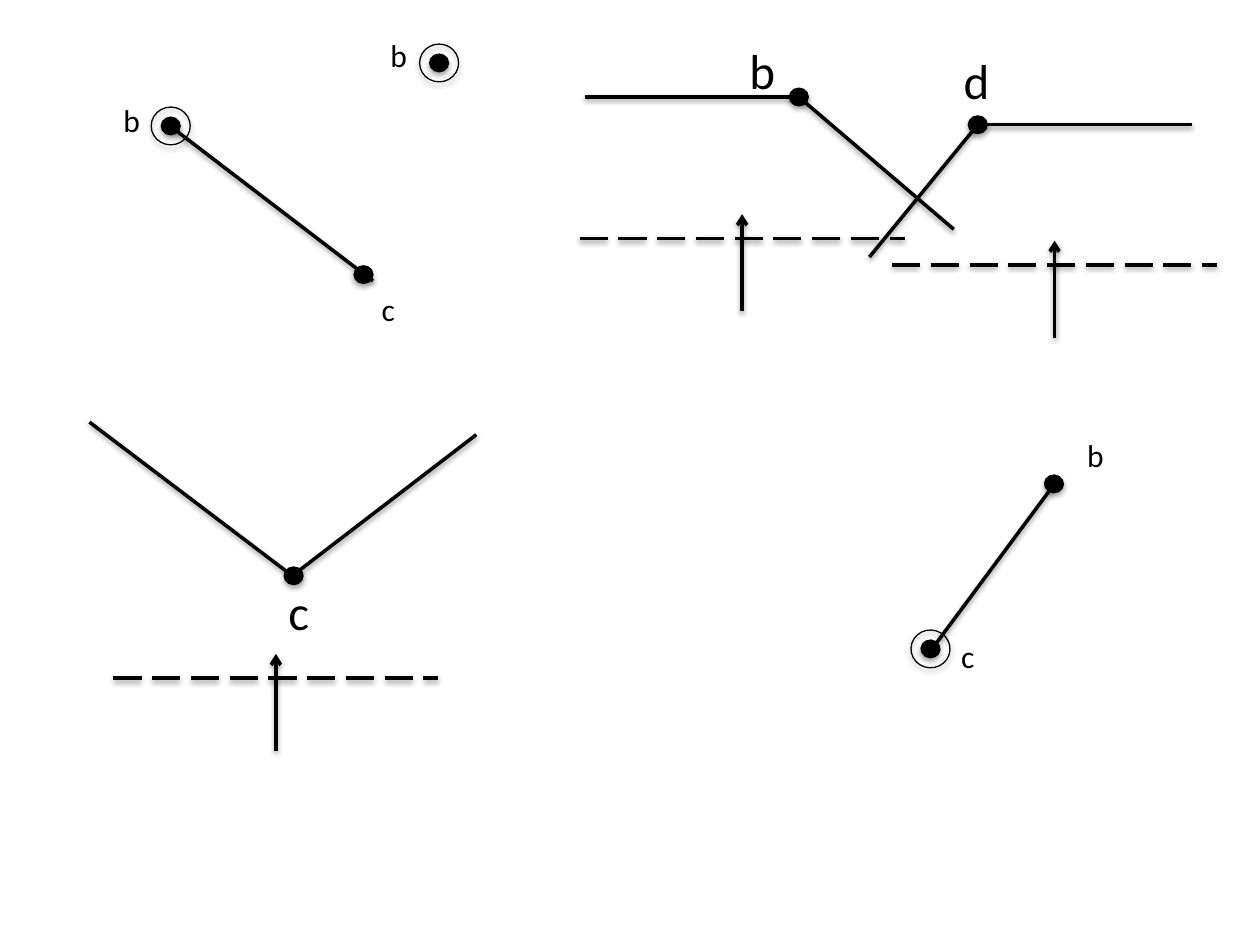
from dataclasses import dataclass
from lxml.etree import SubElement
from pptx import Presentation
from pptx.dml.color import RGBColor
from pptx.enum.dml import MSO_LINE
from pptx.enum.shapes import MSO_CONNECTOR, MSO_SHAPE
from pptx.enum.text import MSO_AUTO_SIZE
from pptx.oxml.ns import qn
from pptx.util import Inches, Pt

COLUMNS, ROWS = 100, 75
CELL = Inches(10) / COLUMNS


@dataclass(frozen=True)
class Theme:
    ink: str = "000000"
    font: str = "Calibri"
    small: int = 18
    large: int = 28
    stroke: float = 2
    outline: float = 0.75


@dataclass
class Box:
    shapes: object
    left: float
    top: float
    width: float
    height: float

    def at(self, column, row):
        return round((self.left + column) * CELL), round((self.top + row) * CELL)

    def inner(self, column, row, width, height):
        return Box(self.shapes, self.left + column, self.top + row, width, height)


THEME = Theme()
INK = RGBColor.from_string(THEME.ink)
LABEL_SIZES = {THEME.small: (3.2, 4), THEME.large: (4, 5.7)}


def cast_shadow(part, distance, opacity):
    effects = SubElement(part._element.spPr, qn("a:effectLst"))
    shadow = SubElement(effects, qn("a:outerShdw"), blurRad=str(Pt(3.1)),
                        dist=str(Pt(distance)), dir="5400000", rotWithShape="0")
    color = SubElement(shadow, qn("a:srgbClr"), val=THEME.ink)
    SubElement(color, qn("a:alpha"), val=str(opacity * 1000))


def add_stroke(box, start, end, dashed=False, arrow=False):
    stroke = box.shapes.add_connector(MSO_CONNECTOR.STRAIGHT, *box.at(*start), *box.at(*end))
    stroke.line.color.rgb = INK
    stroke.line.width = Pt(THEME.stroke)
    if dashed:
        stroke.line.dash_style = MSO_LINE.LONG_DASH
    if arrow:
        SubElement(stroke.line._get_or_add_ln(), qn("a:tailEnd"), type="arrow")
    cast_shadow(stroke, 1.6, 38)


def add_ellipse(box, center, width, height, filled, rotation):
    column, row = center
    ellipse = box.shapes.add_shape(
        MSO_SHAPE.OVAL, *box.at(column - width / 2, row - height / 2),
        round(width * CELL), round(height * CELL))
    if filled:
        ellipse.fill.solid()
        ellipse.fill.fore_color.rgb = INK
    else:
        ellipse.fill.background()
    ellipse.line.color.rgb = INK
    ellipse.line.width = Pt(THEME.outline)
    ellipse.rotation = rotation
    cast_shadow(ellipse, 1.8, 35)


def add_vertex(box, center, ringed=False, rotation=0):
    add_ellipse(box, center, 1.5, 1.4, True, rotation)
    if ringed:
        add_ellipse(box, center, 3.1, 3, False, rotation)


def add_label(box, corner, name, size):
    width, height = LABEL_SIZES[size]
    label = box.shapes.add_textbox(*box.at(*corner), round(width * CELL), round(height * CELL))
    frame = label.text_frame
    frame.word_wrap = False
    frame.auto_size = MSO_AUTO_SIZE.SHAPE_TO_FIT_TEXT
    run = frame.paragraphs[0].add_run()
    run.text = name
    run.font.name = THEME.font
    run.font.size = Pt(size)
    run.font.color.rgb = INK


def draw_sweep(box):
    level, middle = box.height / 4, box.width / 2
    add_stroke(box, (0, level), (box.width, level), dashed=True)
    add_stroke(box, (middle, box.height), (middle, 0), arrow=True)


def draw_point(box):
    add_label(box, (0, 0), "b", THEME.small)
    add_vertex(box, (4.85, 2.6), ringed=True)


def draw_falling_segment(box):
    add_stroke(box, (4.7, 2.5), (20.8, 14.8))
    add_label(box, (0, 0), "b", THEME.small)
    add_vertex(box, (4.75, 2.5), ringed=True)
    add_vertex(box, (20.05, 14.3))
    add_label(box, (20.5, 15), "c", THEME.small)


def draw_rising_segment(box):
    add_stroke(box, (1.6, 17.5), (11.4, 4.3))
    add_label(box, (3, 16), "c", THEME.small)
    add_vertex(box, (1.55, 17.4), ringed=True, rotation=183.3)
    add_vertex(box, (11.35, 4.3), rotation=183.3)
    add_label(box, (13, 0), "b", THEME.small)


def draw_valley(box):
    bottom = (16.1, 12.2)
    add_stroke(box, (0, 0), bottom)
    add_vertex(box, (16.2, 12.2))
    add_label(box, (14.8, 12.2), "c", THEME.large)
    add_stroke(box, bottom, (box.width, 1))
    draw_sweep(box.inner(1.9, 18.4, 25.8, 7.7))


def draw_breakpoint(box, name, vertex, label, flat, slope, sweep):
    column, row = vertex
    add_stroke(box, vertex, (column + flat, row))
    add_vertex(box, vertex)
    add_label(box, label, name, THEME.large)
    add_stroke(box, vertex, (column + slope, row + 10.5))
    draw_sweep(box.inner(*sweep, 25.8, 7.7))


def main():
    presentation = Presentation()
    presentation.slide_width = round(COLUMNS * CELL)
    presentation.slide_height = round(ROWS * CELL)
    shapes = presentation.slides.add_slide(presentation.slide_layouts[6]).shapes

    def group():
        return shapes.add_group_shape().shapes

    draw_falling_segment(Box(group(), 8.8, 7.5, 23.6, 19))
    draw_point(Box(shapes, 30, 2.4, 6.4, 4.1))
    draw_valley(Box(group(), 7.1, 33.5, 30.7, 26.1))
    draw_breakpoint(Box(group(), 69, 3.5, 27.6, 23.4), "d", vertex=(8.6, 6.4),
                    label=(6.5, 0), flat=17, slope=-8.6, sweep=(1.8, 15.6))
    draw_breakpoint(Box(group(), 46, 2.7, 29.7, 22), "b", vertex=(17.4, 5),
                    label=(12.5, 0), flat=-17, slope=12.3, sweep=(0, 14.3))
    draw_rising_segment(Box(shapes, 72.3, 34.1, 16.3, 20))
    presentation.save("out.pptx")


if __name__ == "__main__":
    main()
